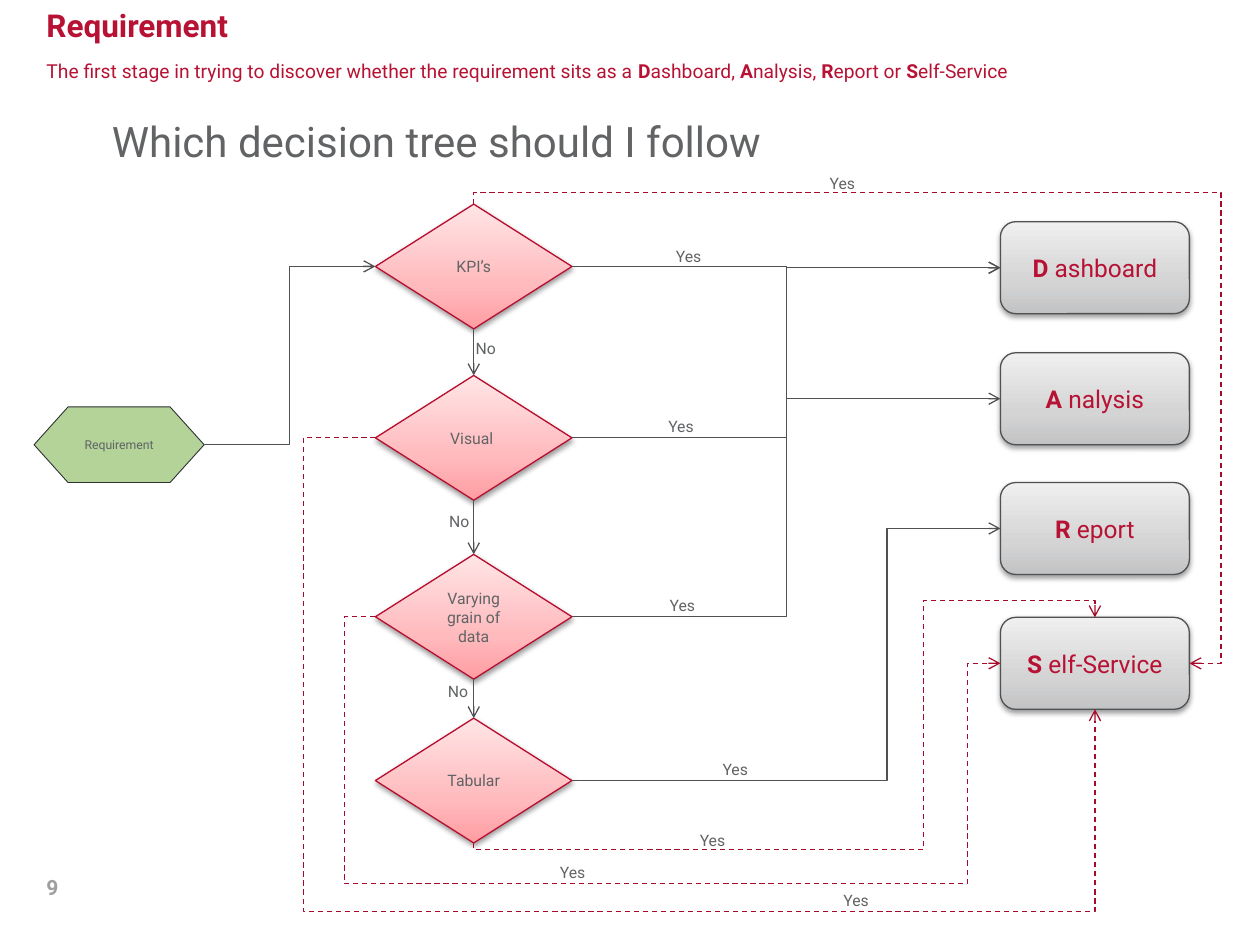
from pptx import Presentation
from pptx.dml.color import RGBColor
from pptx.enum.dml import MSO_LINE
from pptx.enum.shapes import MSO_CONNECTOR, MSO_SHAPE
from pptx.enum.text import MSO_ANCHOR, MSO_AUTO_SIZE, PP_ALIGN
from pptx.oxml import parse_xml
from pptx.oxml.ns import nsdecls
from pptx.util import Inches, Pt

RED = RGBColor(0xB7, 0x12, 0x34)
EDGE_RED = RGBColor(0xB7, 0x0E, 0x30)
DASH_RED = RGBColor(0xA6, 0x0B, 0x2B)
GREY = RGBColor(0x61, 0x63, 0x65)
DARK = RGBColor(0x50, 0x51, 0x53)
BLACK = RGBColor(0x30, 0x31, 0x32)
PALE = RGBColor(0x9E, 0x9F, 0x9F)
GREEN = RGBColor(0xB3, 0xD3, 0x99)
PINK_STOPS = [(0, RGBColor(0xFF, 0x9D, 0xA2)), (35, RGBColor(0xFF, 0xBA, 0xBD)),
              (100, RGBColor(0xFF, 0xE5, 0xE6))]
GREY_STOPS = [(0, RGBColor(0xC2, 0xC3, 0xC4)), (35, RGBColor(0xD4, 0xD4, 0xD5)),
              (100, RGBColor(0xEF, 0xEF, 0xEF))]
TOP, LEFT, BOTTOM, RIGHT = range(4)

prs = Presentation()
prs.slide_width, prs.slide_height = Inches(10), Inches(7.5)
s = prs.slides.add_slide(prs.slide_layouts[6])


def write(p, parts, size, color, align=PP_ALIGN.LEFT):
    p.alignment = align
    for text, bold in parts:
        r = p.add_run()
        r.text = text
        r.font.name, r.font.size, r.font.bold = "Roboto", Pt(size), bold
        r.font.color.rgb = color


def node(kind, box, parts, size, color, edge, weight, stops=None):
    sp = s.shapes.add_shape(kind, *map(Inches, box))
    sp.shadow.inherit = False
    sp.line.color.rgb, sp.line.width = edge, Pt(weight)
    sp.fill.solid()
    sp.fill.fore_color.rgb = GREEN
    if stops:
        pr = sp._element.spPr
        gs = "".join(f'<a:gs pos="{pos * 1000}"><a:srgbClr val="{c}"/></a:gs>' for pos, c in stops)
        pr.replace(pr.find("{*}solidFill"), parse_xml(
            f'<a:gradFill {nsdecls("a")} rotWithShape="1"><a:gsLst>{gs}</a:gsLst>'
            '<a:lin ang="16200000" scaled="0"/></a:gradFill>'))
        pr.find("{*}effectLst").append(parse_xml(
            f'<a:outerShdw {nsdecls("a")} blurRad="40000" dist="20000" dir="5400000" '
            'rotWithShape="0"><a:srgbClr val="000000"><a:alpha val="38000"/></a:srgbClr></a:outerShdw>'))
    tf = sp.text_frame
    tf.word_wrap, tf.vertical_anchor = True, MSO_ANCHOR.MIDDLE
    write(tf.paragraphs[0], parts, size, color, PP_ALIGN.CENTER)
    return sp


subtitle = [("The first stage in trying to discover whether the requirement sits as a ", False),
            ("D", True), ("ashboard, ", False), ("A", True), ("nalysis, ", False),
            ("R", True), ("eport or ", False), ("S", True), ("elf-Service", False)]
texts = [((0.27, 0, 9.45, 1.03), RED, [([("Requirement", True)], 18), (subtitle, 11)]),
         ((0.27, 6.89, 0.96, 0.3), PALE, [([("9", True)], 12)]),
         ((0.79, 0.87, 8.6, 0.6), GREY, [([("Which decision tree should I follow", False)], 24)])]
for box, color, paragraphs in texts:
    tf = s.shapes.add_textbox(*map(Inches, box)).text_frame
    tf.word_wrap = True
    for i, (parts, size) in enumerate(paragraphs):
        p = tf.add_paragraph() if i else tf.paragraphs[0]
        p.space_before = Pt(9)
        write(p, parts, size, color)

start = node(MSO_SHAPE.FLOWCHART_PREPARATION, (0.27, 3.23, 1.35, 0.6),
             [("Requirement", False)], 7, GREY, BLACK, 0.5)
kpis, visual, grain, tabular = decisions = [
    node(MSO_SHAPE.FLOWCHART_DECISION, (2.98, y, 1.56, 0.99), [(text, False)],
         9, GREY, EDGE_RED, 0.75, PINK_STOPS)
    for text, y in [("KPI’s", 1.62), ("Visual ", 2.98), ("Varying grain of data", 4.4), ("Tabular", 5.7)]]
dashboard, analysis, report, self_service = [
    node(MSO_SHAPE.ROUNDED_RECTANGLE, (7.94, y, 1.5, 0.73), [(initial + " ", True), (rest, False)],
         14, RED, DARK, 0.75, GREY_STOPS)
    for initial, rest, y in [("D", "ashboard", 1.76), ("A", "nalysis", 2.8),
                             ("R", "eport", 3.83), ("S", "elf-Service", 4.9)]]

links = [(start, RIGHT, kpis, LEFT, 0, "V", [0.5]),
         (kpis, RIGHT, dashboard, LEFT, 0, "", [0.5]),
         (visual, RIGHT, dashboard, LEFT, 0, "V", [0.5]),
         (grain, RIGHT, analysis, LEFT, 0, "V", [0.5]),
         (tabular, RIGHT, report, LEFT, 0, "V", [0.735]),
         (kpis, TOP, self_service, RIGHT, 270, "H", [-0.025, 1.044]),
         (visual, LEFT, self_service, BOTTOM, 180, "HV", [-0.1, 1.745]),
         (grain, LEFT, self_service, LEFT, 180, "HV", [-0.05, 5.723, 0.947]),
         (tabular, BOTTOM, self_service, TOP, 90, "HV", [-0.031, 0.724, 1.074])]
links += [(a, BOTTOM, b, TOP, 90, "", [0.5]) for a, b in zip(decisions, decisions[1:])]

for a, a_site, b, b_site, turn, flips, bends in links:
    c = s.shapes.add_connector(MSO_CONNECTOR.ELBOW, 0, 0, 0, 0)
    c.begin_connect(a, a_site)
    c.end_connect(b, b_site)
    x, y, w, h = c.left, c.top, c.width, c.height
    if turn in (90, 270):
        x, y, w, h = x + (w - h) // 2, y + (h - w) // 2, h, w
    c.left, c.top, c.width, c.height = x, y, w, h
    pr = c._element.spPr
    xfrm, geom = pr.find("{*}xfrm"), pr.find("{*}prstGeom")
    xfrm.set("rot", str(turn * 60000))
    for axis in "HV":
        xfrm.set("flip" + axis, str(int(axis in flips)))
    geom.set("prst", f"bentConnector{len(bends) + 2}")
    guides = "".join(f'<a:gd name="adj{i}" fmla="val {round(v * 100000)}"/>'
                     for i, v in enumerate(bends, 1))
    geom.replace(geom.find("{*}avLst"), parse_xml(f'<a:avLst {nsdecls("a")}>{guides}</a:avLst>'))
    dashed = b is self_service
    c.line.color.rgb, c.line.width = DASH_RED if dashed else DARK, Pt(0.75)
    if dashed:
        c.line.dash_style = MSO_LINE.DASH
    pr.find("{*}ln").append(parse_xml(f'<a:tailEnd {nsdecls("a")} type="arrow"/>'))
    pr.append(parse_xml(f'<a:effectLst {nsdecls("a")}/>'))

labels = {("Yes", 0.49): [(5.16, 3.26), (5.22, 1.91), (5.17, 4.68), (5.59, 5.98), (6.44, 1.33),
                          (5.41, 6.54), (4.3, 6.8), (6.55, 7.02)],
          ("No", 0.39): [(3.66, 2.64), (3.45, 4.01), (3.44, 5.36)]}
for (text, width), places in labels.items():
    for x, y in places:
        tf = s.shapes.add_textbox(*map(Inches, (x, y, width, 0.25))).text_frame
        tf.word_wrap, tf.auto_size = False, MSO_AUTO_SIZE.SHAPE_TO_FIT_TEXT
        write(tf.paragraphs[0], [(text, False)], 9, GREY, PP_ALIGN.CENTER)

prs.save("out.pptx")
